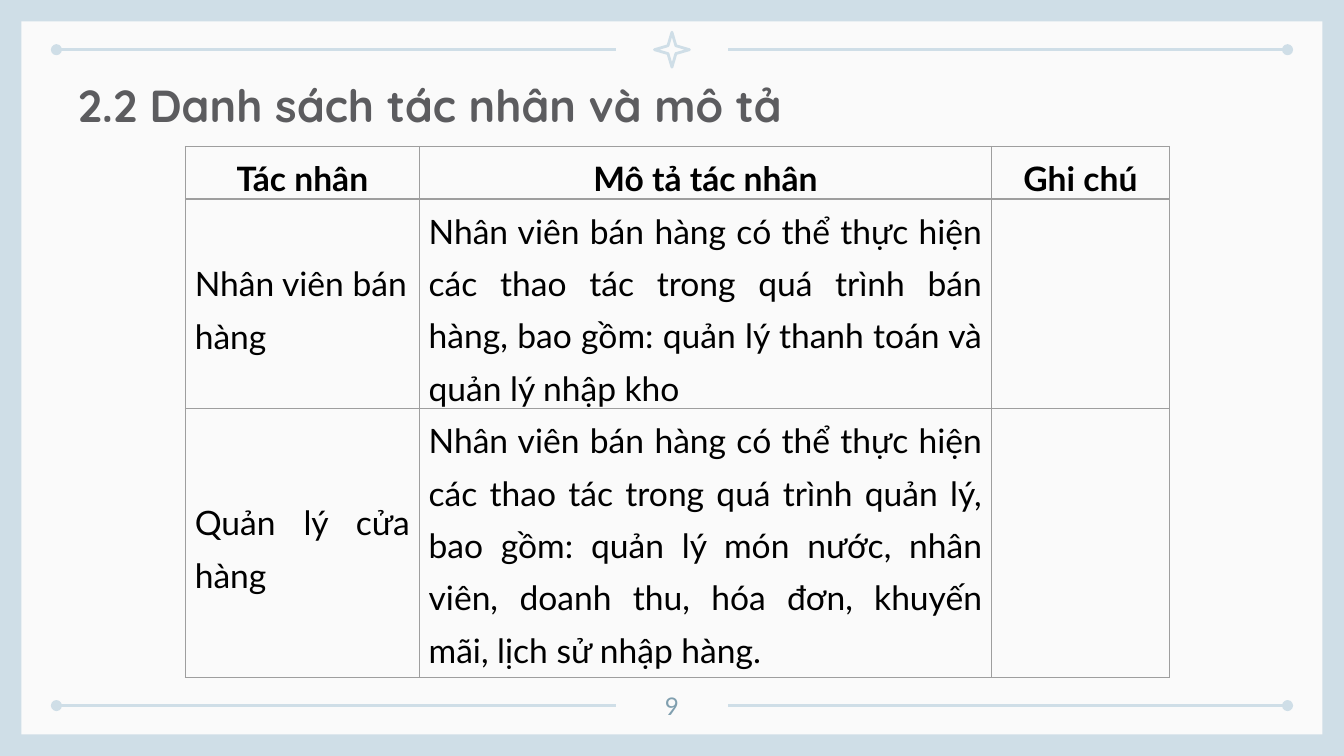
from lxml.etree import SubElement
from pptx import Presentation
from pptx.dml.color import RGBColor
from pptx.enum.shapes import MSO_CONNECTOR, MSO_SHAPE
from pptx.enum.text import MSO_ANCHOR, MSO_AUTO_SIZE, PP_ALIGN
from pptx.oxml.ns import qn
from pptx.util import Inches, Pt

W = 10
H = W * 9 / 16
FRAME, PAPER, BORDER = "CFDEE7", "FAFAFA", "9E9E9E"
TITLE, NUMBER, BLACK = "5C5C5F", "809FAF", "000000"
MARGIN, GAP, LINE_W = 0.42, 0.42, 1.5  # outer margin, half gap at the centre
RULE_TOP, RULE_BOTTOM = 0.37, 5.25
COLS = [1.74, 4.26, 1.32]
ROWS = [0.34, 1.48, 2]
CELLS = [
    ["Tác nhân", "Mô tả tác nhân", "Ghi chú"],
    ["Nhân viên bán hàng",
     "Nhân viên bán hàng có thể thực hiện các thao tác trong quá trình bán hàng, "
     "bao gồm: quản lý thanh toán và quản lý nhập kho", ""],
    ["Quản lý cửa hàng",
     "Nhân viên bán hàng có thể thực hiện các thao tác trong quá trình quản lý, "
     "bao gồm: quản lý món nước, nhân viên, doanh thu, hóa đơn, khuyến mãi, "
     "lịch sử nhập hàng.", ""],
]


def rgb(color):
    return RGBColor.from_string(color)


def box(*lengths):
    return [Inches(n) for n in lengths]


def write(tf, text, size=18, font="Lato", color=BLACK, bold=False,
          align=PP_ALIGN.LEFT, spacing=None):
    p = tf.paragraphs[0]
    p.alignment = align
    p.line_spacing = spacing
    r = p.add_run()
    r.text = text
    r.font.name, r.font.size, r.font.bold = font, Pt(size), bold
    r.font.color.rgb = rgb(color)


def set_insets(tf, inset=0.1):
    tf.margin_left = tf.margin_right = Inches(inset)
    tf.margin_top = tf.margin_bottom = Inches(inset)


def add_preset(s, kind, at, fill=None, line=None):
    sp = s.shapes.add_shape(kind, *box(*at))
    sp.shadow.inherit = False
    if fill:
        sp.fill.solid()
        sp.fill.fore_color.rgb = rgb(fill)
    else:
        sp.fill.background()
    if line:
        sp.line.color.rgb = rgb(line)
        sp.line.width = Pt(LINE_W)
    else:
        sp.line.fill.background()
    return sp


def add_rule(s, x1, x2, y, dot):
    """Horizontal line with a round dot at its "headEnd" or "tailEnd"."""
    sp = s.shapes.add_connector(MSO_CONNECTOR.STRAIGHT, *box(x1, y, x2, y))
    sp.line.color.rgb = rgb(FRAME)
    sp.line.width = Pt(LINE_W)
    SubElement(sp.line._get_or_add_ln(), qn("a:" + dot), type="oval")
    SubElement(sp._element.spPr, qn("a:effectLst"))


def add_frame(s):
    inset, star = 0.16, 0.26
    add_preset(s, MSO_SHAPE.RECTANGLE,
               (inset, inset, W - 2 * inset, H - 2 * inset), fill=PAPER)
    for y in (RULE_TOP, RULE_BOTTOM):
        add_rule(s, MARGIN, W / 2 - GAP, y, "headEnd")
        add_rule(s, W / 2 + GAP, W - MARGIN, y, "tailEnd")
    sp = add_preset(s, MSO_SHAPE.STAR_4_POINT,
                    ((W - star) / 2, RULE_TOP - star / 2, star, star), line=FRAME)
    sp.adjustments[0] = 0.16


def add_title(s, text):
    sp = s.shapes.title
    sp.left, sp.top, sp.width, sp.height = box(0.48, 0.46, 8.43, 0.63)
    tf = sp.text_frame
    tf.auto_size = MSO_AUTO_SIZE.NONE
    tf.vertical_anchor = MSO_ANCHOR.MIDDLE
    set_insets(tf)
    write(tf, text, size=24, font="Quicksand", color=TITLE, bold=True)


def add_page_number(s, text):
    w, h = 0.6, 0.36
    sp = s.shapes.add_textbox(*box((W - w) / 2, RULE_BOTTOM - h / 2, w, h))
    tf = sp.text_frame
    tf.word_wrap = True
    tf.vertical_anchor = MSO_ANCHOR.MIDDLE
    set_insets(tf)
    write(tf, text, size=13, color=NUMBER, align=PP_ALIGN.CENTER)


def add_borders(cell):
    tc_pr = cell._tc.get_or_add_tcPr()
    for side in ("lnL", "lnR", "lnT", "lnB"):
        ln = SubElement(tc_pr, qn("a:" + side), w=str(Pt(0.75)))
        fill = SubElement(ln, qn("a:solidFill"))
        SubElement(fill, qn("a:srgbClr"), val=BORDER)


def cell_align(row, col):
    if row == 0:
        return PP_ALIGN.CENTER
    return PP_ALIGN.LEFT if (row, col) == (1, 0) else PP_ALIGN.JUSTIFY


def add_actor_table(s):
    table = s.shapes.add_table(len(ROWS), len(COLS),
                               *box(1.38, 1.09, sum(COLS), sum(ROWS))).table
    table.first_row = table.horz_banding = False
    for column, width in zip(table.columns, COLS):
        column.width = Inches(width)
    for i, (row, height) in enumerate(zip(table.rows, ROWS)):
        row.height = Inches(height)
        for j, cell in enumerate(row.cells):
            add_borders(cell)
            cell.fill.background()
            cell.margin_left = cell.margin_right = Inches(0.07)
            cell.margin_top = cell.margin_bottom = 0
            body = i > 0 and j > 0
            cell.vertical_anchor = MSO_ANCHOR.TOP if body else MSO_ANCHOR.MIDDLE
            if CELLS[i][j]:
                write(cell.text_frame, CELLS[i][j], bold=i == 0,
                      align=cell_align(i, j), spacing=1.3)


def main():
    prs = Presentation()
    prs.slide_width, prs.slide_height = box(W, H)
    s = prs.slides.add_slide(prs.slide_layouts[5])
    s.background.fill.solid()
    s.background.fill.fore_color.rgb = rgb(FRAME)

    # Frame, then the content on it
    add_frame(s)
    add_title(s, "2.2 Danh sách tác nhân và mô tả")
    add_page_number(s, "9")
    add_actor_table(s)

    # Bring the title in front of the paper
    s.shapes._spTree.append(s.shapes.title._element)
    prs.save("out.pptx")


if __name__ == "__main__":
    main()
